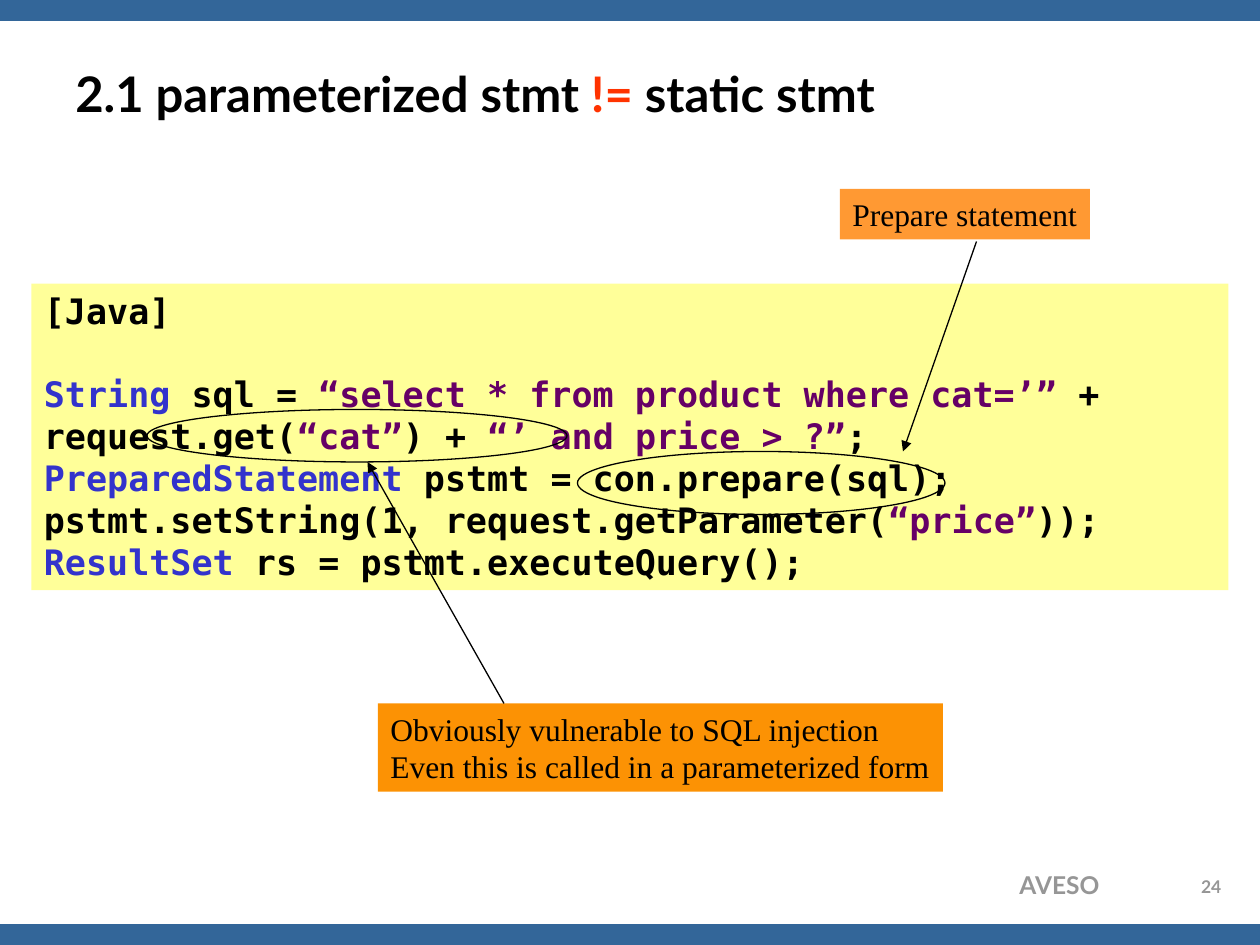
from pptx import Presentation
from pptx.dml.color import RGBColor
from pptx.enum.shapes import MSO_CONNECTOR, MSO_SHAPE
from pptx.enum.text import MSO_ANCHOR, PP_ALIGN
from pptx.oxml.ns import qn
from pptx.util import Inches, Pt
from lxml import etree

RECT, OVAL = MSO_SHAPE.RECTANGLE, MSO_SHAPE.OVAL
LINE = MSO_CONNECTOR.STRAIGHT
LEFT, MID, RIGHT = PP_ALIGN.LEFT, PP_ALIGN.CENTER, PP_ALIGN.RIGHT
TOP, CENTER = MSO_ANCHOR.TOP, MSO_ANCHOR.MIDDLE

WIDE, HIGH = 10, 7.5
COLS, ROWS = 120, 90
BLACK, GRAY, BLUE = "000000", "969696", "336699"
RED, TYPE, QUOTE = "FF3300", "3333CC", "660066"
SANS, MONO, SERIF = "Lato", "DejaVu Sans Mono", "Times New Roman"


def color(code):
    return RGBColor.from_string(code)


def write(shape, lines, font=SANS, size=18, bold=False, tint=BLACK,
          align=LEFT, anchor=TOP, wrap=True, gap=0):
    """Fill a shape; each line is a list of texts or (text, colour) pairs.
    The gap in points follows the first line."""
    frame = shape.text_frame
    frame.word_wrap = wrap
    frame.vertical_anchor = anchor
    for i, line in enumerate(lines):
        para = frame.add_paragraph() if i else frame.paragraphs[0]
        para.alignment = align
        if gap and i == 0:
            para.space_after = Pt(gap)
        for part in line:
            text, code = (part, tint) if isinstance(part, str) else part
            run = para.add_run()
            run.text = text
            run.font.name = font
            run.font.size = Pt(size)
            run.font.bold = bold
            run.font.color.rgb = color(code)


class Page:
    """Current slide, with lengths in grid columns and rows."""

    def __init__(self, deck):
        self.slide = deck.slides.add_slide(deck.slide_layouts[6])
        self.items = self.slide.shapes

    def place(self, *nums):
        units = (WIDE / COLS, HIGH / ROWS) * 2
        return [Inches(n * unit) for n, unit in zip(nums, units)]

    def text(self, box, lines, **style):
        write(self.items.add_textbox(*self.place(*box)), lines, **style)

    def panel(self, box, fill, lines=(), **style):
        shape = self.items.add_shape(RECT, *self.place(*box))
        shape.shadow.inherit = False
        shape.fill.solid()
        shape.fill.fore_color.rgb = color(fill)
        shape.line.fill.background()
        write(shape, lines, **style)

    def ring(self, box):
        shape = self.items.add_shape(OVAL, *self.place(*box))
        shape.shadow.inherit = False
        shape.fill.background()
        self.stroke(shape.line)

    def arrow(self, ends):
        link = self.items.add_connector(LINE, *self.place(*ends))
        self.stroke(link.line)
        tip = etree.SubElement(link.line._get_or_add_ln(), qn("a:tailEnd"))
        tip.set("type", "triangle")
        etree.SubElement(link._element.spPr, qn("a:effectLst"))

    def stroke(self, line):
        line.color.rgb = color(BLACK)
        line.width = Pt(0.75)


CODE = [
    ["[Java]"],
    [("String", TYPE), " sql = ",
     ("“select * from product where cat=’”", QUOTE), " +"],
    ["request.get(", ("“cat”", QUOTE), ") + ",
     ("“’ and price > ?”", QUOTE), ";"],
    [("PreparedStatement", TYPE), " pstmt = con.prepare(sql);"],
    ["pstmt.setString(1, request.getParameter(", ("“price”", QUOTE), "));"],
    [("ResultSet", TYPE), " rs = pstmt.executeQuery();"],
]


def main():
    deck = Presentation()
    deck.slide_width, deck.slide_height = Inches(WIDE), Inches(HIGH)
    page = Page(deck)

    # Frame bars and footer
    for top in (0, ROWS - 2):
        page.panel((0, top, COLS, 2), BLUE)
    page.text((74.6, 82.3, 31.3, 4), [["AVESO"]],
              size=14, bold=True, tint=GRAY, align=RIGHT)

    # Title
    page.text((6, 3.6, 108, 10.4),
              [["2.1 parameterized stmt ", ("!=", RED), " static stmt"]],
              size=28, bold=True, anchor=CENTER)

    # Code listing
    page.panel((3, 27, 114, 29.2), "FFFF99", CODE,
               font=MONO, size=20, bold=True, gap=23.5)

    # Warning on the query text
    page.panel((36, 67, 53.8, 8.4), "FC9204",
               [["Obviously vulnerable to SQL injection"],
                ["Even this is called in a parameterized form"]],
               font=SERIF, wrap=False)
    page.ring((14, 39, 40, 5))
    page.arrow((48, 67, 35, 44))

    # Note on the prepare call
    page.ring((55, 43, 35, 6))
    page.panel((80, 18, 23.8, 4.8), "FF9933", [["Prepare statement"]],
               font=SERIF, wrap=False)
    page.arrow((93, 23, 86, 43))

    # Page number
    page.text((112.7, 82.8, 5.3, 3), [["24"]],
              size=10, bold=True, tint=GRAY, align=MID)

    deck.save("out.pptx")


if __name__ == "__main__":
    main()
